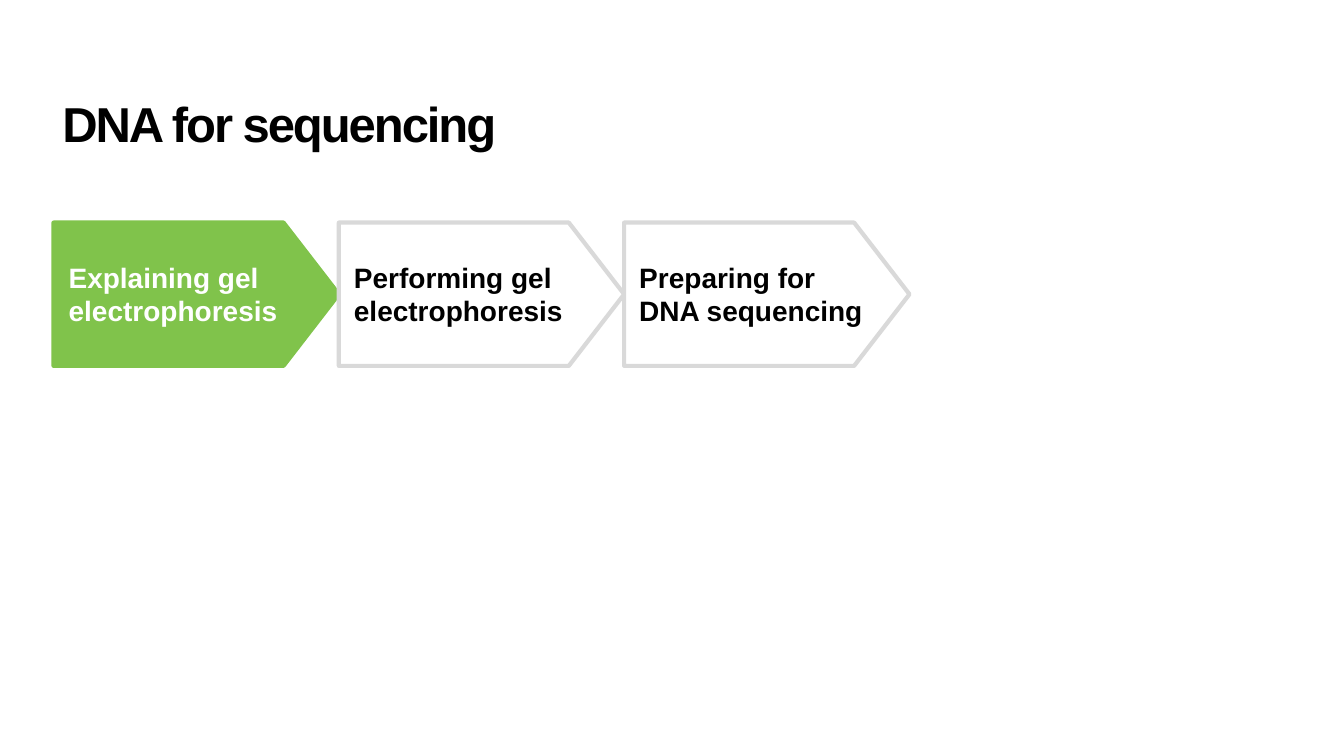
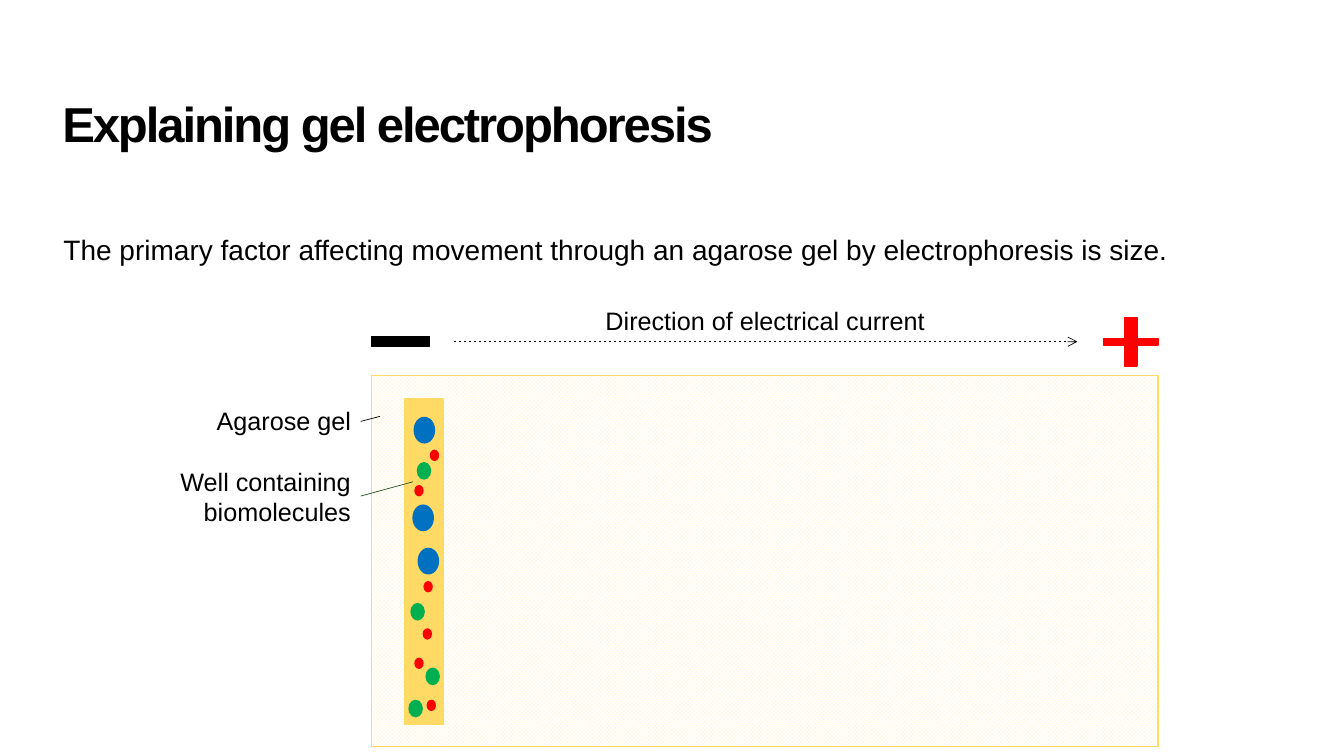
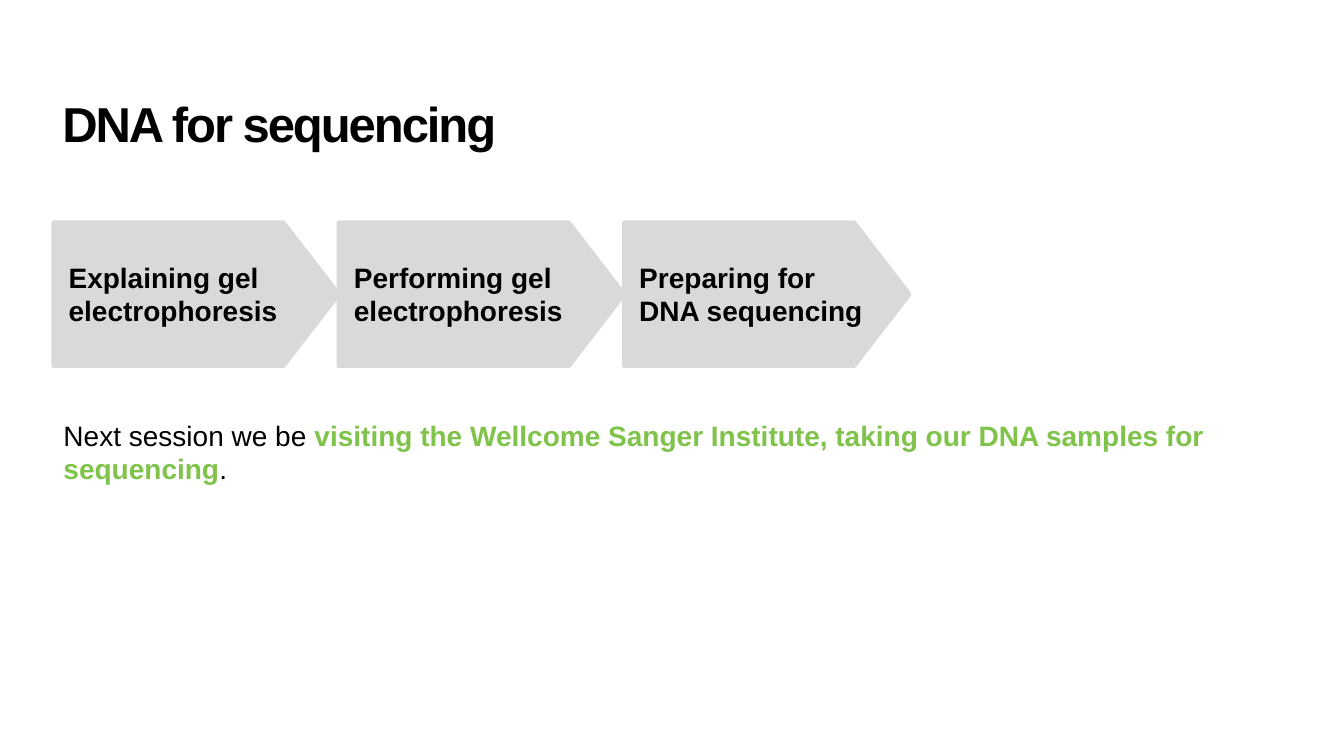
from lxml import etree
from pptx import Presentation
from pptx.dml.color import RGBColor
from pptx.enum.dml import MSO_LINE, MSO_PATTERN
from pptx.enum.shapes import MSO_CONNECTOR, MSO_SHAPE
from pptx.enum.text import PP_ALIGN
from pptx.oxml.ns import qn
from pptx.util import Cm, Pt

RECT, OVAL, PLUS = MSO_SHAPE.RECTANGLE, MSO_SHAPE.OVAL, MSO_SHAPE.CROSS
ARROW = MSO_SHAPE.PENTAGON
STRAIGHT, DASH, TRELLIS = MSO_CONNECTOR.STRAIGHT, MSO_LINE.DASH, MSO_PATTERN.TRELLIS
LEFT, RIGHT = PP_ALIGN.LEFT, PP_ALIGN.RIGHT

FONT = "Arial"
BLACK, WHITE, GREEN, GREY = "000000", "FFFFFF", "80C34B", "D9D9D9"
RED, AMBER, CREAM, DARK_GREEN = "FF0000", "FFDB65", "FFF3CC", "2A512C"

# Content: lengths in centimetres
SEQUENCING_TITLE = "DNA for sequencing"
GEL_TITLE = "Explaining gel electrophoresis"
STEPS = ["Explaining gel electrophoresis", "Performing gel electrophoresis",
         "Preparing for DNA sequencing"]
# Step styles: fill, line, text
ACTIVE_STEP = (GREEN, GREEN, WHITE)
OPEN_STEP = (None, GREY, BLACK)
DONE_STEP = (GREY, GREY, BLACK)

SIZE_FACT = [("The primary factor affecting movement through an agarose gel "
              "by electrophoresis is size.", {})]
NEXT_SESSION = [
    ("Next session we be ", {}),
    ("visiting the Wellcome Sanger Institute, taking our DNA samples for sequencing",
     {"color": GREEN, "bold": True}),
    (".", {}),
]

# Biomolecules: colour, width, height, positions
MOLECULES = [
    ("0070C0", 0.51, 0.64, [(10.44, 10.52), (10.41, 12.73), (10.54, 13.82)]),
    ("00B050", 0.33, 0.41, [(10.52, 11.66), (10.31, 17.65), (10.36, 15.21),
                            (10.74, 16.84)]),
    (RED, 0.2, 0.25, [(10.46, 12.24), (10.85, 11.35), (10.69, 14.66),
                      (10.67, 15.85), (10.46, 16.59), (10.77, 17.65)]),
]
# Diagram labels: text, place, alignment, wrap
GEL_LABELS = [
    ("Agarose gel", (5.16, 10.08, 3.94, 1.02), RIGHT, False),
    ("Well containing biomolecules", (3.63, 11.61, 5.46, 1.8), RIGHT, True),
    ("Direction of electrical current", (15.01, 7.57, 8.64, 1.02), LEFT, False),
]
LEADERS = [((9.09, 10.62), (9.58, 10.49), BLACK),
           ((9.09, 12.5), (10.41, 12.14), DARK_GREEN)]

# Shared places
TITLE_AT = (1.32, 2.64, 31.22, 2.64)
STEP_LEFT, STEP_TOP, STEP_WIDTH, STEP_HEIGHT = 1.35, 5.61, 7.19, 3.61
BODY_WIDTH = 31.7


def rgb(code):
    return RGBColor.from_string(code)


def add_text(page, at, spans, size, color=BLACK, bold=False, align=LEFT,
             wrap=True, insets=(0.13, 0.13), line_spacing=None, tracking=None):
    """Add one paragraph of (text, overrides) spans."""
    box = page.shapes.add_textbox(*map(Cm, at))
    frame = box.text_frame
    frame.word_wrap = wrap
    frame.margin_top, frame.margin_bottom = map(Cm, insets)
    para = frame.paragraphs[0]
    para.alignment = align
    if line_spacing:
        para.line_spacing = line_spacing
    para.font.name, para.font.size, para.font.bold = FONT, Pt(size), bold
    para.font.color.rgb = rgb(color)
    for text, style in spans:
        span = para.add_run()
        span.text = text
        if style:
            span.font.bold = style["bold"]
            span.font.color.rgb = rgb(style["color"])
        if tracking:
            span._r.get_or_add_rPr().set("spc", str(tracking))


def add_shape(page, kind, at, fill, line, weight=1):
    shape = page.shapes.add_shape(kind, *map(Cm, at))
    shape.shadow.inherit = False
    if fill:
        shape.fill.solid()
        shape.fill.fore_color.rgb = rgb(fill)
    else:
        shape.fill.background()
    shape.line.color.rgb = rgb(line)
    shape.line.width = Pt(weight)
    return shape


def add_line(page, start, end, color):
    line = page.shapes.add_connector(STRAIGHT, *map(Cm, start + end))
    line.line.color.rgb = rgb(color)
    line.line.width = Pt(0.5)
    etree.SubElement(line._element.spPr, qn("a:effectLst"))
    return line


def add_page(deck, title):
    page = deck.slides.add_slide(deck.slide_layouts[6])
    add_text(page, TITLE_AT, [(title, {})], 35, bold=True, insets=(0, 0.13),
             line_spacing=0.8, tracking=-150)
    return page


def add_body(page, top, height, spans):
    add_text(page, (STEP_LEFT, top, BODY_WIDTH, height), spans, 20,
             insets=(0.25, 0.25))


def add_steps(page, styles):
    lefts = [STEP_LEFT + i * STEP_WIDTH for i in range(len(STEPS))]
    for left, (fill, line, _) in zip(lefts, styles):
        arrow = add_shape(page, ARROW, (left, STEP_TOP, STEP_WIDTH, STEP_HEIGHT),
                          fill, line, 3)
        arrow.adjustments[0] = 0.386
    for left, step, (_, _, color) in zip(lefts, STEPS, styles):
        add_text(page, (left + 0.13, STEP_TOP + 0.82, 6.17, 1.96), [(step, {})],
                 20, color, bold=True)


def add_gel(page):
    # Gel, well and biomolecules
    gel = add_shape(page, RECT, (9.37, 9.47, 19.81, 9.35), None, AMBER)
    gel.fill.patterned()
    gel.fill.pattern = TRELLIS
    gel.fill.fore_color.rgb = rgb(CREAM)
    gel.fill.back_color.rgb = rgb(WHITE)
    add_shape(page, RECT, (10.19, 10.06, 0.99, 8.2), AMBER, AMBER)
    for color, width, height, places in MOLECULES:
        for left, top in places:
            add_shape(page, OVAL, (left, top, width, height), color, color)

    # Electrodes and current
    positive = add_shape(page, PLUS, (27.81, 8, 1.37, 1.22), RED, RED)
    positive.adjustments[0] = 0.429
    add_shape(page, RECT, (9.37, 8.48, 1.45, 0.25), BLACK, BLACK)
    current = add_line(page, (11.43, 8.61), (27.15, 8.61), BLACK)
    current.line.dash_style = DASH
    etree.SubElement(current.line._get_or_add_ln(), qn("a:tailEnd"), type="arrow")

    # Labels and leaders
    for text, at, align, wrap in GEL_LABELS:
        add_text(page, at, [(text, {})], 18, align=align, wrap=wrap)
    for start, end, color in LEADERS:
        add_line(page, start, end, color)


def main():
    deck = Presentation()
    deck.slide_width, deck.slide_height = Cm(33.87), Cm(19.05)

    page = add_page(deck, SEQUENCING_TITLE)
    add_steps(page, [ACTIVE_STEP, OPEN_STEP, OPEN_STEP])

    page = add_page(deck, GEL_TITLE)
    add_body(page, STEP_TOP, 1.45, SIZE_FACT)
    add_gel(page)

    page = add_page(deck, SEQUENCING_TITLE)
    add_steps(page, [DONE_STEP] * len(STEPS))
    add_body(page, 10.29, 7.14, NEXT_SESSION)

    deck.save("out.pptx")


if __name__ == "__main__":
    main()
